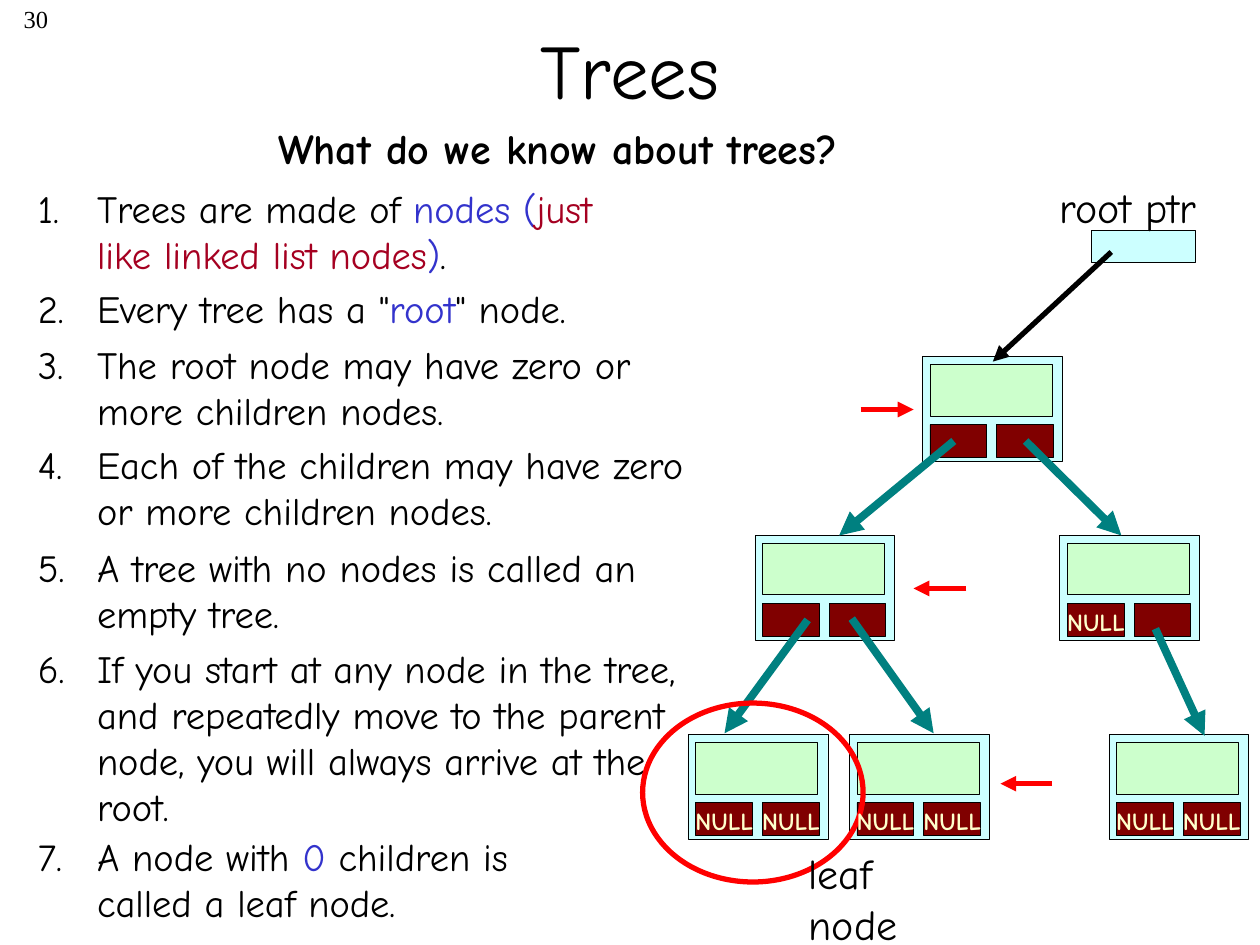
from lxml import etree
from pptx import Presentation, util as u
from pptx.dml.color import RGBColor
from pptx.enum import shapes, text
from pptx.oxml.ns import qn

PX = 9144  # 100 px to the inch
BLACK = RGBColor(0x00, 0x00, 0x00)
BLUE = RGBColor(0x33, 0x33, 0xCC)
CRIMSON = RGBColor(0xA5, 0x00, 0x21)
CYAN = RGBColor(0xCC, 0xFF, 0xFF)
GREEN = RGBColor(0xCC, 0xFF, 0xCC)
MAROON = RGBColor(0x80, 0x00, 0x00)
CREAM = RGBColor(0xFF, 0xFF, 0xCC)
TEAL = RGBColor(0x00, 0x80, 0x80)
RED = RGBColor(0xFF, 0x00, 0x00)
FONT = "Comic Neue"

prs = Presentation()
prs.slide_width, prs.slide_height = 1000 * PX, 750 * PX
slide = prs.slides.add_slide(prs.slide_layouts[1])


def write(paragraph, words, size, color=BLACK, bold=False, font=FONT):
    """Add one formatted run to the paragraph."""
    run = paragraph.add_run()
    run.text = words
    run.font.size = u.Pt(size)
    run.font.name = font
    run.font.bold = bold
    run.font.color.rgb = color


def draw(kind, box, fill, line, width):
    """Add a preset shape without shadow; fill None leaves it hollow."""
    shape = slide.shapes.add_shape(kind, *(v * PX for v in box))
    shape.shadow.inherit = False
    if fill is None:
        shape.fill.background()
    else:
        shape.fill.solid()
        shape.fill.fore_color.rgb = fill
    shape.line.color.rgb = line
    shape.line.width = u.Pt(width)


# Title
title = slide.shapes.title
title.left, title.top, title.width, title.height = (v * PX for v in (75, -8, 850, 125))
title.text_frame.vertical_anchor = text.MSO_ANCHOR.MIDDLE
title.text_frame.paragraphs[0].alignment = text.PP_ALIGN.CENTER
write(title.text_frame.paragraphs[0], "Trees", 44)

# Numbered facts: space before in points, right margin in px, runs
facts = [
    (0, 40, [("Trees are made of ", BLACK), ("nodes (", BLUE),
             ("just like linked list nodes", CRIMSON), (")", BLUE), (".", BLACK)]),
    (4, 0, [("Every tree has a \"", BLACK), ("root", BLUE), ("\" node.", BLACK)]),
    (6, 0, [("The root node may have zero or more children nodes.", BLACK)]),
    (4, 0, [("Each of the children may have zero or more children nodes.", BLACK)]),
    (6, 0, [("A tree with no nodes is called an empty tree.", BLACK)]),
    (5, 0, [("If you start at any node in the tree, and repeatedly move to the parent "
             "node, you will always arrive at the root.", BLACK)]),
    (2, 100, [("A node with ", BLACK), ("0 ", BLUE),
              ("children is called a leaf node.", BLACK)]),
]
HANG = 47
body = slide.placeholders[1]
body.left, body.top, body.width, body.height = (v * PX for v in (20, 142, 538, 596))
body.text_frame.auto_size = text.MSO_AUTO_SIZE.NONE
body.text_frame.vertical_anchor = text.MSO_ANCHOR.TOP
for i, (space, right_margin, runs) in enumerate(facts):
    fact = body.text_frame.paragraphs[0] if i == 0 else body.text_frame.add_paragraph()
    fact.space_before = u.Pt(space)
    props = fact._p.get_or_add_pPr()
    props.set("marL", str(HANG * PX))
    props.set("indent", str(-HANG * PX))
    props.set("marR", str(right_margin * PX))
    etree.SubElement(props, qn("a:buFont"), typeface="+mj-lt")
    etree.SubElement(props, qn("a:buAutoNum"), type="arabicPeriod")
    for words, color in runs:
        write(fact, words, 22, color)

# Tree nodes: a value above a left and a right pointer
RECT = shapes.MSO_SHAPE.RECTANGLE
POINTER_X, POINTER_Y = (6, 59), 54
nodes = [  # left, top, which pointers are NULL
    (732, 283, ()), (599, 425, ()), (841, 425, (0,)),
    (546, 583, (0, 1)), (674, 583, (0, 1)), (880, 583, (0, 1)),
]
labels = []
for x, y, nulls in nodes:
    draw(RECT, (x, y, 111, 83), CYAN, BLACK, 0.25)
    draw(RECT, (x + 6, y + 6, 97, 41), GREEN, BLACK, 0.25)
    for dx in POINTER_X:
        draw(RECT, (x + dx, y + POINTER_Y, 45, 26), MAROON, BLACK, 0.25)
    for side in nulls:
        labels.append(((x + POINTER_X[side] - 10, y + POINTER_Y - 2, 72, 33),
                       ["NULL"], 14, CREAM, True))
draw(RECT, (866, 183, 83, 25), CYAN, BLACK, 0.25)

# Arrows: root pointer, child links, red markers
arrows = [
    ((882, 200, 788, 287), BLACK, 3),
    ((757, 350, 666, 425), TEAL, 4.5),
    ((814, 350, 890, 425), TEAL, 4.5),
    ((917, 499, 956, 584), TEAL, 4.5),
    ((641, 492, 575, 582), TEAL, 4.5),
    ((676, 491, 741, 582), TEAL, 4.5),
    ((767, 467, 725, 467), RED, 3),
    ((683, 325, 725, 325), RED, 3),
    ((835, 622, 794, 622), RED, 3),
]
for ends, color, width in arrows:
    arrow = slide.shapes.add_connector(shapes.MSO_CONNECTOR.STRAIGHT, *(v * PX for v in ends))
    arrow.line.color.rgb = color
    arrow.line.width = u.Pt(width)
    etree.SubElement(arrow.line._get_or_add_ln(), qn("a:tailEnd"), type="triangle")
    etree.SubElement(arrow._element.spPr, qn("a:effectLst"))

draw(shapes.MSO_SHAPE.OVAL, (510, 558, 175, 142), None, RED, 3)

# Free labels
labels += [
    ((211, 92, 537, 50), ["What do we know about trees?"], 24, BLACK, True),
    ((831, 139, 155, 50), ["root ptr"], 24, BLACK, False),
    ((632, 668, 93, 90), ["leaf", "node"], 24, BLACK, False),
]
for box, lines, size, color, bold in labels:
    frame = slide.shapes.add_textbox(*(v * PX for v in box)).text_frame
    frame.word_wrap = False
    for i, words in enumerate(lines):
        line = frame.paragraphs[0] if i == 0 else frame.add_paragraph()
        write(line, words, size, color, bold)

# Page number
page = slide.shapes.add_textbox(0, -2 * PX, 48 * PX, 50 * PX).text_frame
page.word_wrap = True
page.paragraphs[0].alignment = text.PP_ALIGN.RIGHT
write(page.paragraphs[0], "30", 14, font="Times New Roman")

prs.save("out.pptx")
